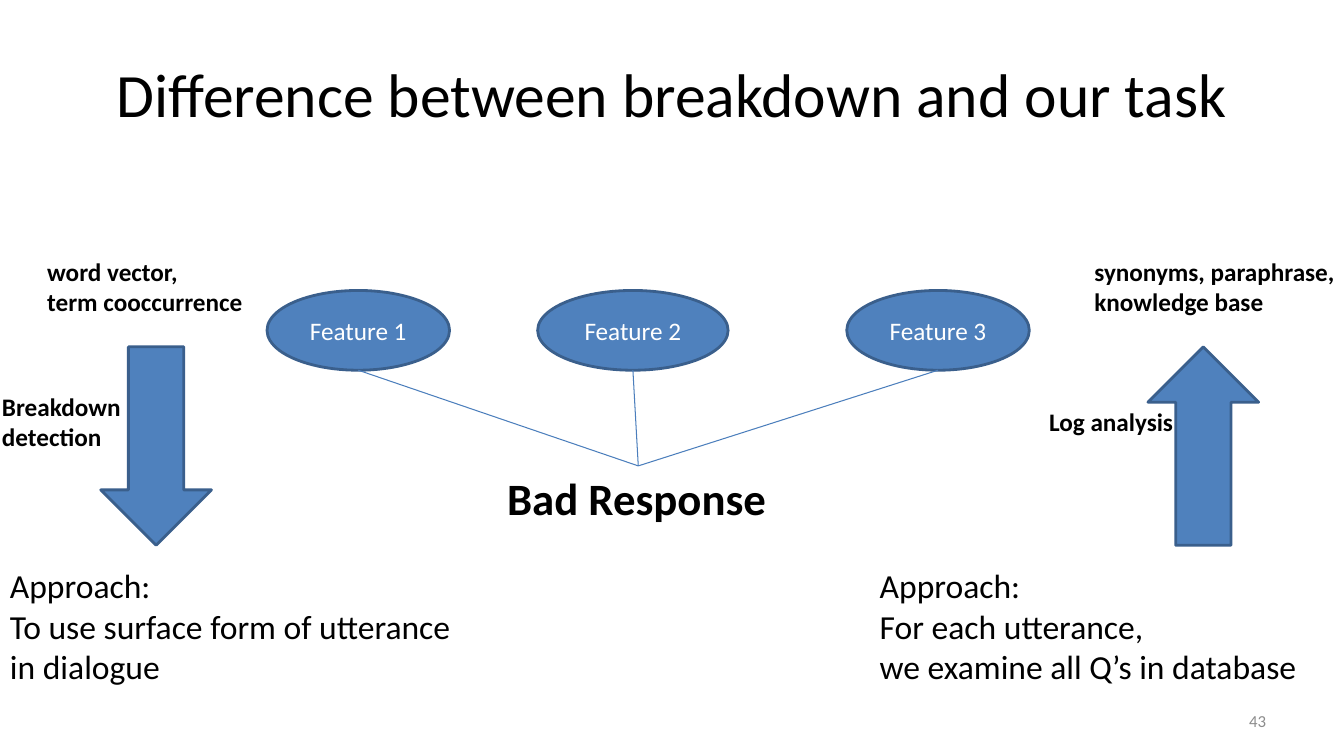
from collections import namedtuple
from lxml.etree import SubElement
from pptx import Presentation
from pptx.dml.color import RGBColor
from pptx.enum.shapes import MSO_CONNECTOR, MSO_SHAPE
from pptx.enum.text import MSO_ANCHOR, MSO_AUTO_SIZE, PP_ALIGN
from pptx.oxml.ns import qn
from pptx.util import Cm, Pt

BLACK = RGBColor(0x00, 0x00, 0x00)
WHITE = RGBColor(0xFF, 0xFF, 0xFF)
GREY = RGBColor(0x8C, 0x8C, 0x8C)
BLUE = RGBColor(0x4F, 0x81, 0xBD)
OUTLINE = RGBColor(0x3A, 0x5F, 0x8C)
LINK = RGBColor(0x4B, 0x7E, 0xBC)

Box = namedtuple("Box", "left top width height")

HEADING = {"size": Pt(44)}
RESPONSE = {"size": Pt(32), "bold": True}
LABEL = {"size": Pt(18), "bold": True}
APPROACH = {"size": Pt(24)}
FEATURE = {"size": Pt(18), "color": WHITE}
NUMBER = {"size": Pt(12), "color": GREY}


def lengths(box):
    return [Cm(value) for value in box]


def write(shape, lines, style, align=PP_ALIGN.LEFT):
    formats = {"name": "Calibri", **style}
    color = formats.pop("color", BLACK)
    frame = shape.text_frame
    for index, line in enumerate(lines):
        para = frame.add_paragraph() if index else frame.paragraphs[0]
        para.alignment = align
        span = para.add_run()
        span.text = line
        span.font.color.rgb = color
        for name, value in formats.items():
            setattr(span.font, name, value)


def add_label(page, box, lines, style):
    label = page.shapes.add_textbox(*lengths(box))
    label.text_frame.word_wrap = False
    label.text_frame.auto_size = MSO_AUTO_SIZE.SHAPE_TO_FIT_TEXT
    write(label, lines, style)
    return label


def add_blue_shape(page, kind, box):
    shape = page.shapes.add_shape(kind, *lengths(box))
    shape.shadow.inherit = False
    shape.fill.solid()
    shape.fill.fore_color.rgb = BLUE
    shape.line.color.rgb = OUTLINE
    shape.line.width = Pt(2)
    return shape


def draw_title(page, box, text):
    title = page.shapes.title
    for name, value in zip(Box._fields, lengths(box)):
        setattr(title, name, value)
    title.text_frame.vertical_anchor = MSO_ANCHOR.MIDDLE
    write(title, [text], HEADING, PP_ALIGN.CENTER)


def draw_features(page, box):
    response = add_label(
        page, Box(box.left + 5.8, box.top + 4.42, 7.11, 1.62), ["Bad Response"], RESPONSE
    )
    features = [("Feature 1", 0, 4.6), ("Feature 2", 6.82, 4.8), ("Feature 3", 14.61, 4.6)]
    for name, offset, width in features:
        oval = add_blue_shape(
            page, MSO_SHAPE.OVAL, Box(box.left + offset, box.top, width, 2.01)
        )
        oval.text_frame.vertical_anchor = MSO_ANCHOR.MIDDLE
        write(oval, [name], FEATURE, PP_ALIGN.CENTER)
        link = page.shapes.add_connector(
            MSO_CONNECTOR.STRAIGHT,
            oval.left + oval.width // 2,
            oval.top + oval.height,
            response.left + response.width // 2,
            response.top,
        )
        link.end_connect(response, 0)
        link.line.color.rgb = LINK
        link.line.width = Pt(0.75)
        SubElement(link._element.spPr, qn("a:effectLst"))


def draw_method(page, box, rotation, task, resources, resources_width, approach, approach_box):
    arrow = add_blue_shape(page, MSO_SHAPE.DOWN_ARROW, box)
    arrow.rotation = rotation
    task_height = 0.25 + 0.77 * len(task)
    task_top = box.top + 1.89 - task_height / 2
    add_label(page, Box(box.left - 2.74, task_top, 3.68, task_height), task, LABEL)
    add_label(
        page, Box(box.left - 1.6, box.top - 2.41, resources_width, 1.8), resources, LABEL
    )
    add_label(page, approach_box, approach, APPROACH)


def draw_page_number(page, box, text):
    number = page.shapes.add_textbox(*lengths(box))
    number.text_frame.word_wrap = True
    number.text_frame.vertical_anchor = MSO_ANCHOR.MIDDLE
    write(number, [text], NUMBER, PP_ALIGN.RIGHT)


def main():
    deck = Presentation()
    deck.slide_width, deck.slide_height = Cm(33.87), Cm(19.05)
    page = deck.slides.add_slide(deck.slide_layouts[5])
    draw_title(page, Box(1.7, 0.76, 30.48, 3.18), "Difference between breakdown and our task")
    draw_features(page, Box(6.73, 7.32, 19.21, 6.04))
    draw_method(
        page,
        Box(2.54, 8.74, 2.79, 5),
        0,
        ["Breakdown", "detection"],
        ["word vector,", "term cooccurrence"],
        5.46,
        ["Approach:", "To use surface form of utterance", "in dialogue"],
        Box(0, 14.12, 12.07, 3.33),
    )
    draw_method(
        page,
        Box(28.93, 8.74, 2.79, 5),
        180,
        ["Log analysis"],
        ["synonyms, paraphrase,", "knowledge base"],
        6.6,
        ["Approach:", "For each utterance,", "we examine all Q’s in database"],
        Box(21.92, 14.12, 11.1, 3.33),
    )
    draw_page_number(page, Box(24.26, 17.65, 7.9, 1.02), "43")
    deck.save("out.pptx")


if __name__ == "__main__":
    main()
